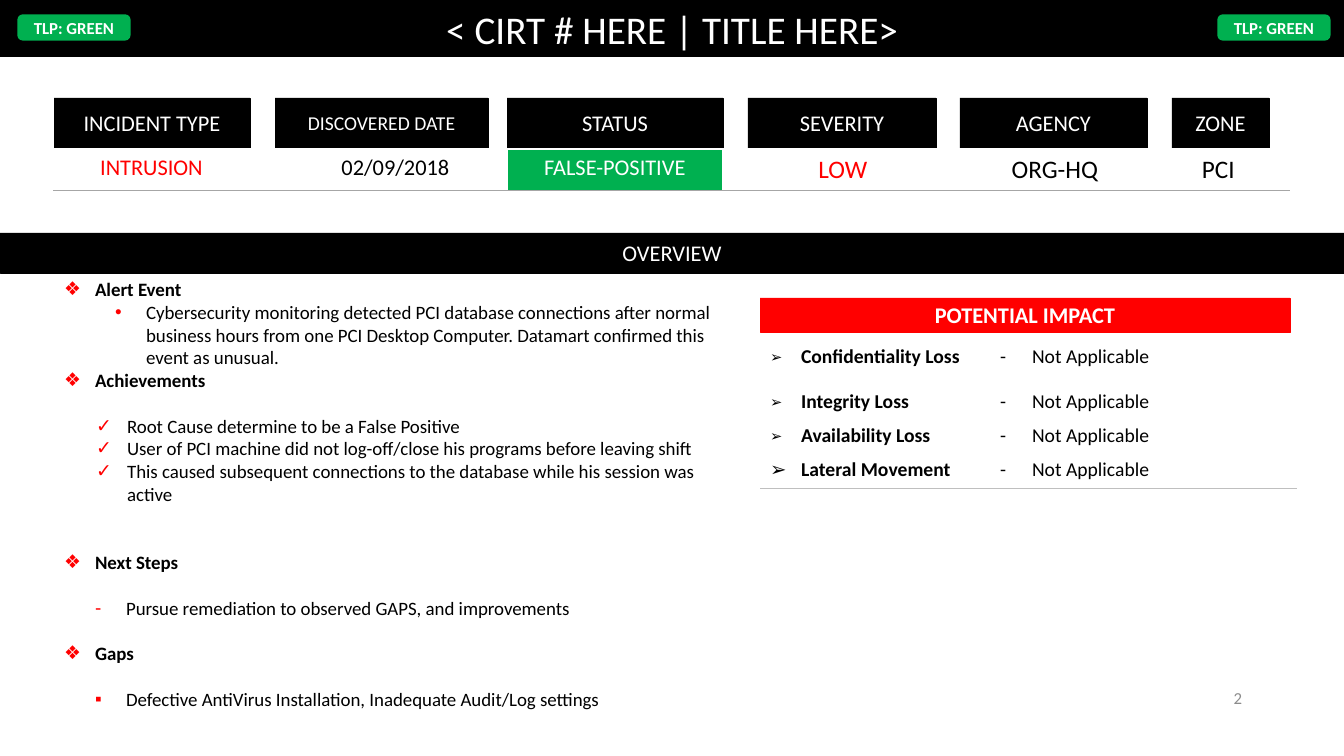
from dataclasses import dataclass
from itertools import accumulate

from lxml import etree
from pptx import Presentation
from pptx.dml.color import RGBColor
from pptx.enum.shapes import MSO_SHAPE
from pptx.enum.text import MSO_ANCHOR, MSO_AUTO_SIZE, PP_ALIGN
from pptx.oxml.ns import qn
from pptx.util import Emu, Pt

RECTANGLE = MSO_SHAPE.RECTANGLE
ROUNDED = MSO_SHAPE.ROUNDED_RECTANGLE
LEFT, CENTER, RIGHT = PP_ALIGN.LEFT, PP_ALIGN.CENTER, PP_ALIGN.RIGHT
TOP, MIDDLE = MSO_ANCHOR.TOP, MSO_ANCHOR.MIDDLE
NO_AUTOFIT = MSO_AUTO_SIZE.NONE

EMU_PER_PIXEL = 914400 / 100.8
FONT = "Calibri"
HANGING = 31
COLORS = {
    "black": "000000",
    "white": "FFFFFF",
    "red": "FF0000",
    "green": "00B050",
    "rule": "A6A6A6",
    "divider": "BFBFBF",
    "number": "8C8C8C",
}


@dataclass(frozen=True)
class Box:
    text: str
    left: int
    top: int
    width: int
    height: int
    size: float = 16
    fill: str = "black"
    bold: bool = False
    line_width: float = 0.5
    preset: int = RECTANGLE


@dataclass(frozen=True)
class Status:
    text: str
    width: int
    size: float = 16
    color: str = "black"
    fill: str = ""
    margin: int = 10


@dataclass(frozen=True)
class Point:
    text: str
    bullet: str
    left: int
    gap: float = 0
    bold: bool = False
    level: int = 0


@dataclass(frozen=True)
class Impact:
    name: str
    height: int
    bullet_percent: int = 75


LINE = 16.4
HEADINGS = [
    ("INCIDENT TYPE", 54, 196, 16),
    ("DISCOVERED DATE", 275, 213, 14),
    ("STATUS", 507, 216, 16),
    ("SEVERITY", 748, 188, 16),
    ("AGENCY", 960, 187, 16),
    ("ZONE", 1172, 97, 16),
]
BOXES = [Box(text, left, 98, width, 50, size) for text, left, width, size in HEADINGS] + [
    Box("OVERVIEW", 0, 233, 1344, 40),
    Box("POTENTIAL IMPACT", 760, 298, 530, 34, fill="red", bold=True),
] + [
    Box("TLP: GREEN", left, 16, 110, 23, 12, "green", True, 2.25, ROUNDED)
    for left in (19, 1219)
]
STATUSES = [
    Status("INTRUSION", 195, color="red"),
    Status("02/09/2018", 258, margin=45),
    Status("FALSE-POSITIVE", 216, color="white", fill="green"),
    Status("LOW", 240, 18, "red"),
    Status("ORG-HQ", 184, 18),
    Status("PCI", 143, 18),
]
POINTS = [
    Point("Alert Event", "❖", 31, bold=True),
    Point("Cybersecurity monitoring detected PCI database connections after normal business "
          "hours from one PCI Desktop Computer. Datamart confirmed this event as unusual.",
          "•", 82, level=1),
    Point("Achievements", "❖", 31, bold=True),
    Point("Root Cause determine to be a False Positive", "✓", 63, LINE),
    Point("User of PCI machine did not log-off/close his programs before leaving shift", "✓", 63),
    Point("This caused subsequent connections to the database while his session was active",
          "✓", 63),
    Point("Next Steps", "❖", 31, 2 * LINE, True),
    Point("Pursue remediation to observed GAPS, and improvements", "-", 62, LINE),
    Point("Gaps", "❖", 31, LINE, True),
    Point("Defective AntiVirus Installation, Inadequate Audit/Log settings", "▪", 62, LINE),
]
IMPACTS = [
    Impact("Confidentiality Loss", 45),
    Impact("Integrity Loss", 34),
    Impact("Availability Loss", 34),
    Impact("Lateral Movement", 36, 100),
]


def px(pixels: float) -> Emu:
    return Emu(round(pixels * EMU_PER_PIXEL))


def rgb(name: str) -> RGBColor:
    return RGBColor.from_string(COLORS[name])


def apply(target, values: dict) -> None:
    for name, value in values.items():
        setattr(target, name, value)


def place(shape, left: int, top: int, width: int, height: int) -> None:
    apply(shape, {"left": px(left), "top": px(top), "width": px(width), "height": px(height)})


def write(paragraph, text: str, size: float, color: str, bold=False, align=LEFT, gap=0) -> None:
    apply(paragraph, {"alignment": align, "line_spacing": 1.0,
                      "space_before": Pt(gap), "space_after": Pt(0)})
    run = paragraph.add_run()
    run.text = text
    apply(run.font, {"name": FONT, "size": Pt(size), "bold": bold})
    run.font.color.rgb = rgb(color)


def add_bullet(paragraph, character: str, left: int, color: str, percent=100) -> None:
    properties = paragraph._p.get_or_add_pPr()
    properties.set("marL", str(px(left)))
    properties.set("indent", str(-px(HANGING)))
    bullet_color = etree.SubElement(properties, qn("a:buClr"))
    etree.SubElement(bullet_color, qn("a:srgbClr"), val=COLORS[color])
    etree.SubElement(properties, qn("a:buSzPct"), val=str(percent * 1000))
    etree.SubElement(properties, qn("a:buFont"), typeface="Arial")
    etree.SubElement(properties, qn("a:buChar"), char=character)


def add_tab(paragraph, position: int) -> None:
    tabs = etree.SubElement(paragraph._p.get_or_add_pPr(), qn("a:tabLst"))
    etree.SubElement(tabs, qn("a:tab"), pos=str(px(position)), algn="l")


def set_borders(cell, bottom: str, width: float, others: str = "") -> None:
    properties = cell._tc.get_or_add_tcPr()
    for index, side in enumerate(("L", "R", "T", "B")):
        color = bottom if side == "B" else others
        border = etree.Element(qn(f"a:ln{side}"), w=str(Pt(width if side == "B" else 1)))
        if color:
            fill = etree.SubElement(border, qn("a:solidFill"))
            etree.SubElement(fill, qn("a:srgbClr"), val=COLORS[color])
        else:
            etree.SubElement(border, qn("a:noFill"))
        properties.insert(index, border)


def add_box(slide, box: Box) -> None:
    shape = slide.shapes.add_shape(
        box.preset, px(box.left), px(box.top), px(box.width), px(box.height))
    shape.shadow.inherit = False
    shape.fill.solid()
    shape.fill.fore_color.rgb = rgb(box.fill)
    shape.line.color.rgb = rgb(box.fill)
    shape.line.width = Pt(box.line_width)
    apply(shape.text_frame, {"word_wrap": True, "vertical_anchor": MIDDLE})
    write(shape.text_frame.paragraphs[0], box.text, box.size, "white", box.bold, CENTER)


def add_grid(slide, left: int, top: int, widths: list[int], heights: list[int]):
    table = slide.shapes.add_table(len(heights), len(widths), px(left), px(top),
                                   px(sum(widths)), px(sum(heights))).table
    apply(table, {"first_row": False, "horz_banding": False})
    for items, sizes, name in ((table.columns, widths, "width"), (table.rows, heights, "height")):
        edges = [px(edge) for edge in accumulate(sizes, initial=0)]
        for item, start, end in zip(items, edges, edges[1:]):
            setattr(item, name, Emu(end - start))
    for cell in table.iter_cells():
        cell.fill.background()
        cell.vertical_anchor = TOP
    return table


presentation = Presentation()
apply(presentation, {"slide_width": px(1344), "slide_height": px(756)})
slide = presentation.slides.add_slide(presentation.slide_layouts[1])

title, body = slide.placeholders
place(title, 0, 0, 1344, 57)
title.fill.solid()
title.fill.fore_color.rgb = rgb("black")
apply(title.text_frame, {"auto_size": NO_AUTOFIT, "vertical_anchor": TOP})
write(title.text_frame.paragraphs[0], "< CIRT # HERE | TITLE HERE>", 28, "white", align=CENTER)

place(body, 54, 273, 681, 446)
frame = body.text_frame
apply(frame, {"auto_size": NO_AUTOFIT, "vertical_anchor": TOP, "word_wrap": True})
for index, point in enumerate(POINTS):
    paragraph = frame.add_paragraph() if index else frame.paragraphs[0]
    paragraph.level = point.level
    write(paragraph, point.text, 13.5, "black", point.bold, gap=point.gap)
    add_bullet(paragraph, point.bullet, point.left, "red")

for box in BOXES:
    add_box(slide, box)

status_table = add_grid(slide, 54, 149, [status.width for status in STATUSES], [40])
for cell, status in zip(status_table.iter_cells(), STATUSES):
    if status.fill:
        cell.fill.solid()
        cell.fill.fore_color.rgb = rgb(status.fill)
    cell.margin_left = px(status.margin)
    write(cell.text_frame.paragraphs[0], status.text, status.size, status.color, align=CENTER)
    set_borders(cell, "rule", 0.5, "white")

impact_table = add_grid(slide, 760, 340, [230, 307], [impact.height for impact in IMPACTS])
for row, impact in zip(impact_table.rows, IMPACTS):
    name, value = (cell.text_frame.paragraphs[0] for cell in row.cells)
    write(name, impact.name, 14, "black", True)
    add_bullet(name, "➢", HANGING, "black", impact.bullet_percent)
    write(value, "-\tNot Applicable", 14, "black")
    add_tab(value, 32)
    for cell in row.cells:
        set_borders(cell, "divider", 1)

page_number = slide.shapes.add_textbox(px(950), px(678), px(302), px(40))
apply(page_number.text_frame, {"word_wrap": True, "vertical_anchor": MIDDLE})
write(page_number.text_frame.paragraphs[0], "2", 12, "number", align=RIGHT)

presentation.save("out.pptx")
